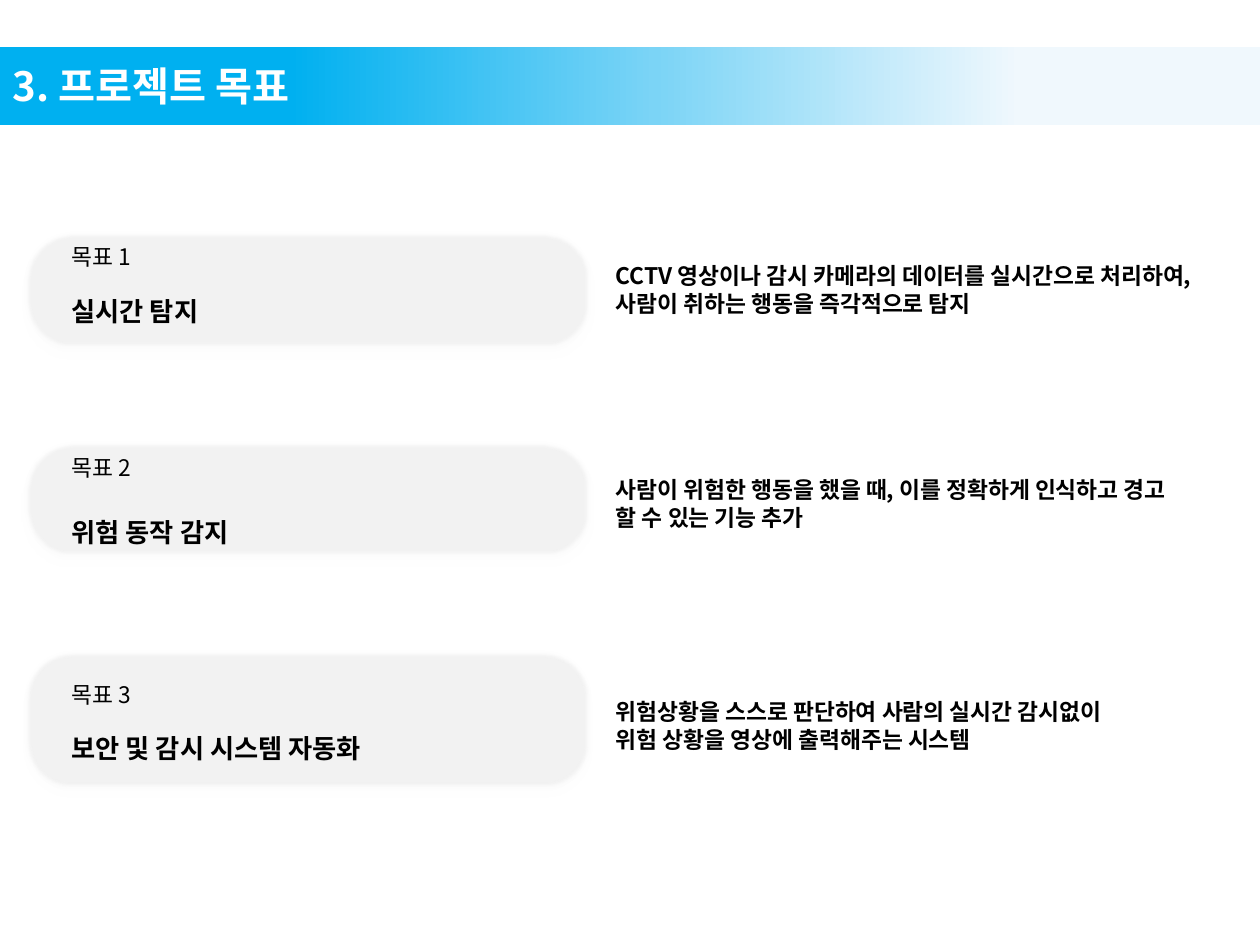
from lxml import etree
from pptx import Presentation
from pptx import util as u
from pptx.dml.color import RGBColor
from pptx.enum import shapes, text
from pptx.oxml import parse_xml
from pptx.oxml.ns import qn

FONT = "Noto Sans CJK KR"
WHITE = RGBColor(0xFF, 0xFF, 0xFF)
BLACK = RGBColor(0, 0, 0)
GREY = RGBColor(0xF2, 0xF2, 0xF2)
SHADE = RGBColor(0xE8, 0xE8, 0xE8)
PALE = RGBColor(0xF0, 0xF8, 0xFD)
SKY = RGBColor(0x7B, 0xD4, 0xF6)
BLUE = RGBColor(0x00, 0xB0, 0xF0)
NS = 'xmlns:a="http://schemas.openxmlformats.org/drawingml/2006/main"'
WIDE, HIGH = 10, 7.5
LEFT, RIGHT = 0.47, 4.79  # text columns
LINE = 0.22  # height of one description line

# bar top and height, goal top and height, gap in points, note top, height, inset
GOALS = [
    ("목표 1", "실시간 탐지",
     ["CCTV 영상이나 감시 카메라의 데이터를 실시간으로 처리하여,",
      "사람이 취하는 행동을 즉각적으로 탐지"],
     (2.18, 0.25), (1.88, 0.76), 14, (1.81, 0.98), LINE),
    ("목표 2", "위험 동작 감지",
     ["사람이 위험한 행동을 했을 때, 이를 정확하게 인식하고 경고",
      "할 수 있는 기능 추가"],
     (3.84, 0.24), (3.55, 0.89), 20, (3.73, 0.54), 0),
    ("목표 3", "보안 및 감시 시스템 자동화",
     ["위험상황을 스스로 판단하여 사람의 실시간 감시없이",
      "위험 상황을 영상에 출력해주는 시스템"],
     (5.5, 0.42), (5.35, 0.76), 14, (5.27, 0.76), LINE),
]


def add_rect(slide, box):
    shape = slide.shapes.add_shape(shapes.MSO_SHAPE.RECTANGLE, *map(u.Inches, box))
    shape.shadow.inherit = False
    return shape


def add_text(slide, box, lines, inset=0):
    """Each line is (words, size, bold, colour, points before)."""
    frame = slide.shapes.add_textbox(*map(u.Inches, box)).text_frame
    frame.word_wrap = True
    frame.vertical_anchor = text.MSO_ANCHOR.TOP
    frame.margin_top = u.Inches(0.05 + inset)
    frame.text = "\n".join(line[0] for line in lines)
    for para, (_, size, bold, tint, gap) in zip(frame.paragraphs, lines):
        if gap:
            para.space_before = u.Pt(gap)
        for run in para.runs:
            font = run.font
            font.name, font.size, font.bold = FONT, u.Pt(size), bold
            font.color.rgb = tint
            east = etree.SubElement(font._element, qn("a:ea"))
            east.set("typeface", FONT)


def add_head(slide, box):
    left, top, wide, high = box
    band = add_rect(slide, box)
    band.line.fill.background()
    stops = "".join(
        f'<a:gs pos="{pos * 1000}"><a:srgbClr val="{tint}"/></a:gs>'
        for pos, tint in ((19, PALE), (48, SKY), (77, BLUE)))
    band.fill.background()
    props = band._element.spPr
    props.replace(props.find(qn("a:noFill")), parse_xml(
        f'<a:gradFill {NS} rotWithShape="1"><a:gsLst>{stops}</a:gsLst>'
        '<a:lin ang="10800000" scaled="0"/></a:gradFill>'))
    add_text(slide, (left, top + 0.07, 4.34, 0.49),
             [("3. 프로젝트 목표", 23, True, WHITE, 0)])


def add_card(slide, box):
    """A bar whose thick round outline makes the corners soft."""
    card = add_rect(slide, box)
    card.fill.solid()
    card.fill.fore_color.rgb = GREY
    card.line.color.rgb = GREY
    card.line.width = u.Pt(50)
    etree.SubElement(card.line._ln, qn("a:round"))
    props = card._element.spPr
    props.replace(props.find(qn("a:effectLst")), parse_xml(
        f'<a:effectLst {NS}><a:outerShdw blurRad="{u.Pt(4)}" dist="{u.Pt(4)}" '
        f'dir="5400000" algn="t" rotWithShape="0"><a:srgbClr val="{SHADE}"/>'
        f'</a:outerShdw><a:softEdge rad="{u.Pt(2.5)}"/></a:effectLst>'))


def add_goal(slide, goal):
    label, title, notes, bar, head, gap, note, inset = goal
    add_card(slide, (0.53, bar[0], 3.82, bar[1]))
    add_text(slide, (LEFT, head[0], 4.2, head[1]),
             [(label, 13, False, BLACK, 0), (title, 15, True, BLACK, gap)])
    add_text(slide, (RIGHT, note[0], 5.05, note[1]),
             [(words, 13, True, BLACK, 0) for words in notes], inset)


def main():
    deck = Presentation()
    deck.slide_width, deck.slide_height = u.Inches(WIDE), u.Inches(HIGH)
    slide = deck.slides.add_slide(deck.slide_layouts[6])
    add_head(slide, (0, 0.37, WIDE, 0.62))
    for goal in GOALS:
        add_goal(slide, goal)
    deck.save("out.pptx")


if __name__ == "__main__":
    main()
